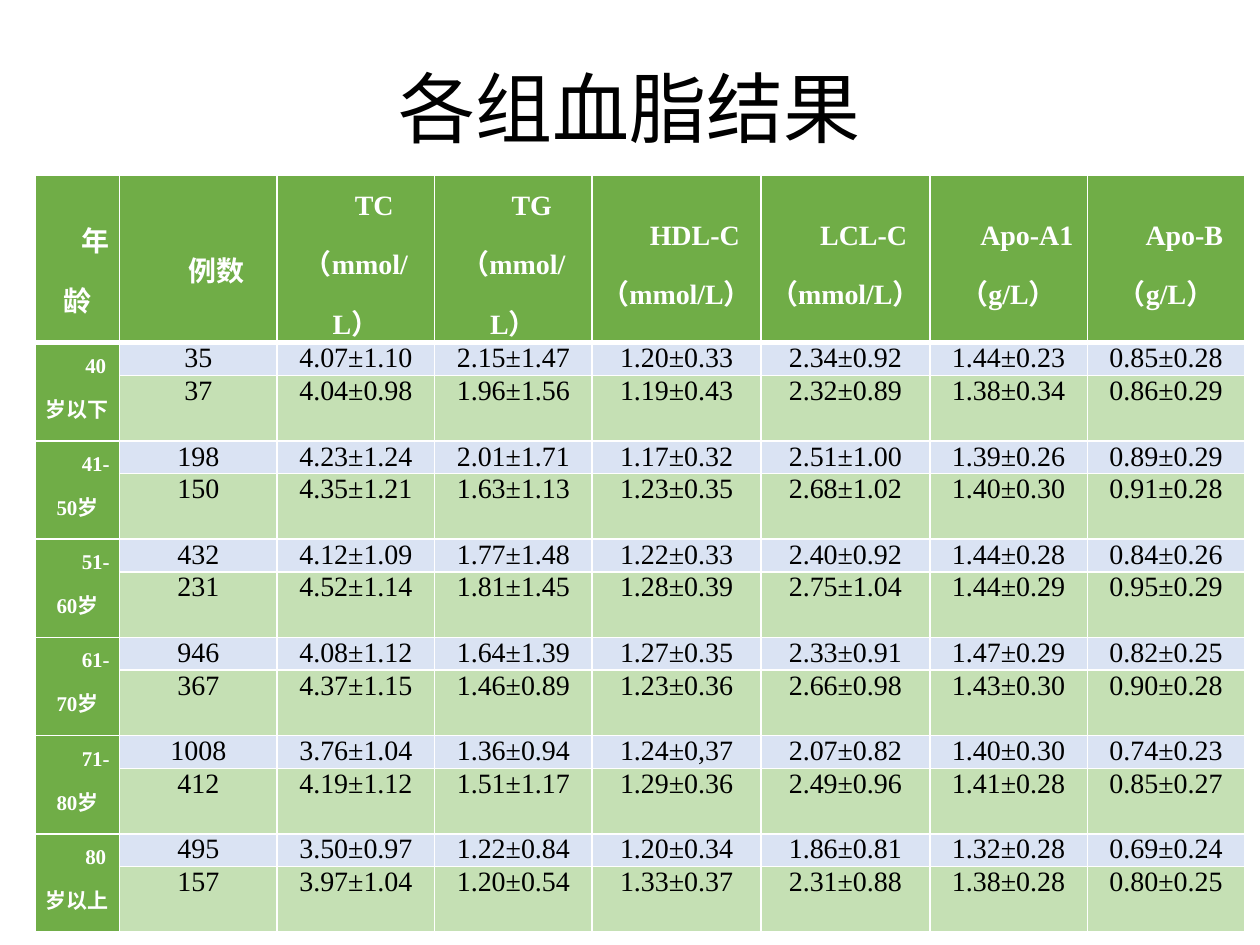
from dataclasses import dataclass

from lxml import etree
from pptx import Presentation
from pptx.dml.color import RGBColor
from pptx.enum.text import MSO_ANCHOR, PP_ALIGN
from pptx.oxml.ns import qn
from pptx.util import Inches, Pt

CENTER = PP_ALIGN.CENTER
TOP, MIDDLE = MSO_ANCHOR.TOP, MSO_ANCHOR.MIDDLE
TITLE_ONLY = 5


@dataclass(frozen=True)
class Theme:
    ink: str = "000000"
    paper: str = "FFFFFF"
    green: str = "70AD47"
    upper: str = "DAE3F3"
    lower: str = "C5E0B4"
    title_font: str = "Arial"
    table_font: str = "Times New Roman"
    title_size: int = 44
    body_size: int = 16
    label_size: int = 12
    rule: int = 1
    header_rule: int = 3


HEADERS = ["年龄", "例数", "TC（mmol/L）", "TG（mmol/L）", "HDL-C（mmol/L）",
           "LCL-C（mmol/L）", "Apo-A1（g/L）", "Apo-B（g/L）"]
COLUMNS = [0.67, 1.25, 1.25, 1.25, 1.34, 1.34, 1.25, 1.25]
HEADER_HEIGHT = 0.75
PAIR_HEIGHTS = [0.26, 0.52]

# Each age group has two rows: case count, then mean±SD per measure
GROUPS = {
    "40岁以下": ("35 4.07±1.10 2.15±1.47 1.20±0.33 2.34±0.92 1.44±0.23 0.85±0.28",
              "37 4.04±0.98 1.96±1.56 1.19±0.43 2.32±0.89 1.38±0.34 0.86±0.29"),
    "41-50岁": ("198 4.23±1.24 2.01±1.71 1.17±0.32 2.51±1.00 1.39±0.26 0.89±0.29",
               "150 4.35±1.21 1.63±1.13 1.23±0.35 2.68±1.02 1.40±0.30 0.91±0.28"),
    "51-60岁": ("432 4.12±1.09 1.77±1.48 1.22±0.33 2.40±0.92 1.44±0.28 0.84±0.26",
               "231 4.52±1.14 1.81±1.45 1.28±0.39 2.75±1.04 1.44±0.29 0.95±0.29"),
    "61-70岁": ("946 4.08±1.12 1.64±1.39 1.27±0.35 2.33±0.91 1.47±0.29 0.82±0.25",
               "367 4.37±1.15 1.46±0.89 1.23±0.36 2.66±0.98 1.43±0.30 0.90±0.28"),
    "71-80岁": ("1008 3.76±1.04 1.36±0.94 1.24±0,37 2.07±0.82 1.40±0.30 0.74±0.23",
               "412 4.19±1.12 1.51±1.17 1.29±0.36 2.49±0.96 1.41±0.28 0.85±0.27"),
    "80岁以上": ("495 3.50±0.97 1.22±0.84 1.20±0.34 1.86±0.81 1.32±0.28 0.69±0.24",
              "157 3.97±1.04 1.20±0.54 1.33±0.37 2.31±0.88 1.38±0.28 0.80±0.25"),
}


def write(tf, text, *, font, size, color, bold=False, spacing=None, after=None, indent=None):
    """Put one centred, formatted paragraph into a text frame."""
    p = tf.paragraphs[0]
    p.alignment = CENTER
    if spacing is not None:
        p.line_spacing = spacing
    if after is not None:
        p.space_after = Pt(after)
    if indent is not None:
        pPr = p._p.get_or_add_pPr()
        pPr.set("marL", "0")
        pPr.set("indent", str(Inches(indent)))
    r = p.add_run()
    r.text = text
    r.font.name = font
    r.font.size = Pt(size)
    r.font.bold = bold
    r.font.color.rgb = RGBColor.from_string(color)


class Deck:
    """Holds the theme and the current slide; lengths are shares of the slide."""

    def __init__(self, theme):
        self.theme = theme
        self.prs = Presentation()
        self.prs.slide_width, self.prs.slide_height = Inches(10), Inches(7.5)
        self.s = self.prs.slides.add_slide(self.prs.slide_layouts[TITLE_ONLY])

    def box(self, x, y, w, h):
        width, height = self.prs.slide_width, self.prs.slide_height
        return int(x * width), int(y * height), int(w * width), int(h * height)

    def title(self, text, x, y, w, h):
        t, sp = self.theme, self.s.shapes.title
        sp.left, sp.top, sp.width, sp.height = self.box(x, y, w, h)
        sp.text_frame.vertical_anchor = MIDDLE
        write(sp.text_frame, text, font=t.title_font, size=t.title_size,
              color=t.ink, spacing=0.9)

    def table(self, x, y, w, h, columns, rows):
        frame = self.s.shapes.add_table(len(rows), len(columns), *self.box(x, y, w, h))
        table = frame.table
        table.horz_banding = False
        for column, width in zip(table.columns, columns):
            column.width = Inches(width)
        for row, height in zip(table.rows, rows):
            row.height = Inches(height)
        return table

    def cell(self, cell, text, fill, *, anchor=TOP, top=None, bottom=None, **fmt):
        t = self.theme
        cell.margin_left = cell.margin_right = Inches(0.07)
        cell.margin_top = cell.margin_bottom = 0
        cell.vertical_anchor = anchor
        cell.fill.solid()
        cell.fill.fore_color.rgb = RGBColor.from_string(fill)
        self.borders(cell, top or t.rule, bottom or t.rule)
        if text:
            write(cell.text_frame, text, font=t.table_font, **fmt)

    def borders(self, cell, top, bottom):
        t = self.theme
        tcPr = cell._tc.get_or_add_tcPr()
        widths = {"a:lnL": t.rule, "a:lnR": t.rule, "a:lnT": top, "a:lnB": bottom}
        for i, (tag, width) in enumerate(widths.items()):
            ln = etree.Element(qn(tag), w=str(Pt(width)))
            fill = etree.SubElement(ln, qn("a:solidFill"))
            etree.SubElement(fill, qn("a:srgbClr"), val=t.paper)
            tcPr.insert(i, ln)


def main():
    t = Theme()
    deck = Deck(t)

    # Title
    deck.title("各组血脂结果", 0.069, 0.4 / 7.5, 0.862, 0.99 / 7.5)

    # Table grid
    heights = [HEADER_HEIGHT] + PAIR_HEIGHTS * len(GROUPS)
    table = deck.table(0.028, 1.39 / 7.5, 0.96, sum(heights) / 7.5, COLUMNS, heights)
    heading = dict(color=t.paper, bold=True, spacing=1.5, after=6, indent=0.29)

    # Header row
    for col, text in enumerate(HEADERS):
        deck.cell(table.cell(0, col), text, t.green, anchor=MIDDLE,
                  bottom=t.header_rule, size=t.body_size, **heading)

    # Age groups: one merged label beside two value rows
    for g, (age, pair) in enumerate(GROUPS.items()):
        first = 1 + 2 * g
        for k, (values, fill) in enumerate(zip(pair, (t.upper, t.lower))):
            row = first + k
            top = t.header_rule if row == 1 else t.rule
            deck.cell(table.cell(row, 0), "" if k else age, t.green, top=top,
                      size=t.label_size, **heading)
            for col, value in enumerate(values.split(), start=1):
                deck.cell(table.cell(row, col), value, fill, top=top,
                          size=t.body_size, color=t.ink)
        table.cell(first, 0).merge(table.cell(first + 1, 0))

    deck.prs.save("out.pptx")


if __name__ == "__main__":
    main()
